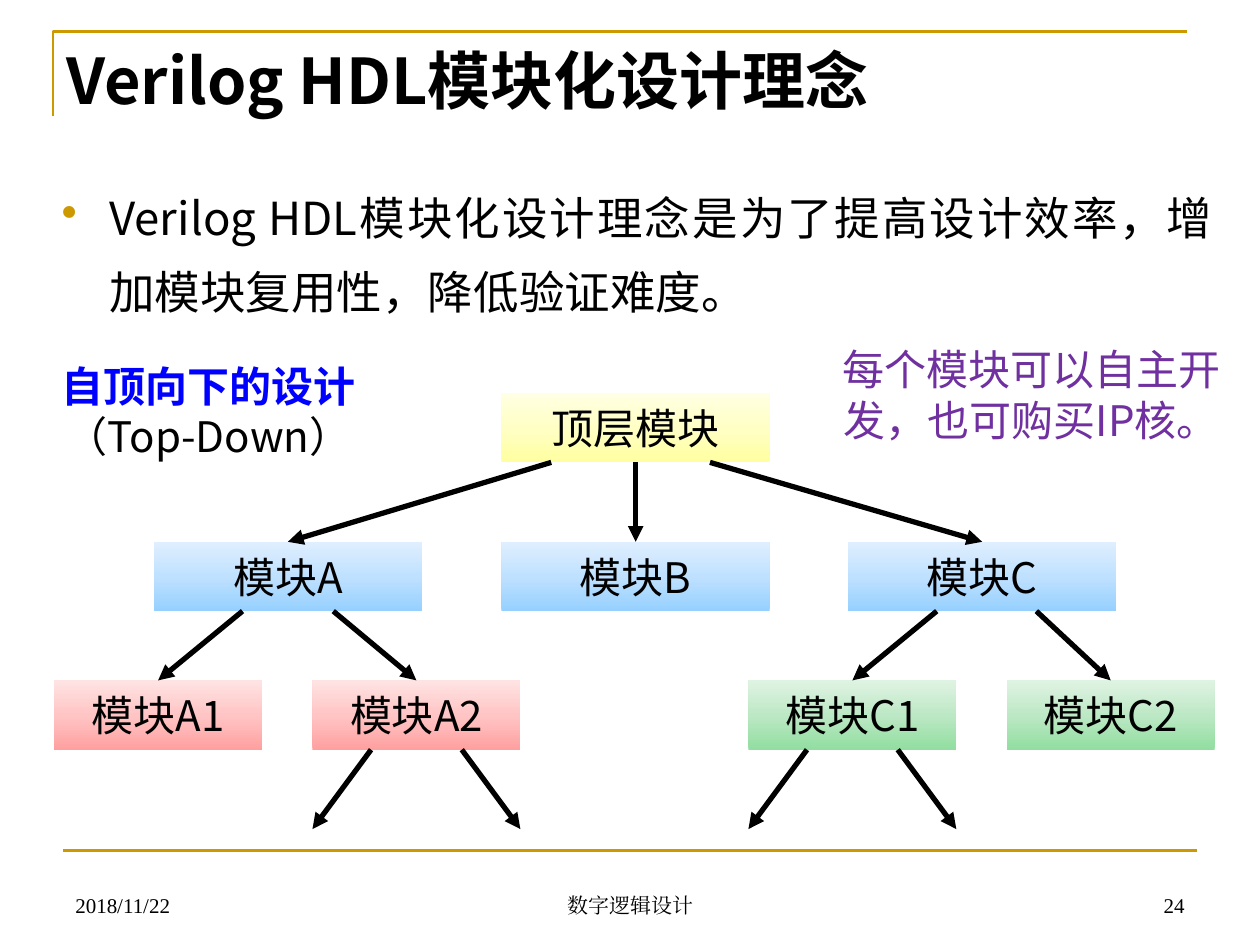
import copy
from collections import namedtuple

import pptx
import pptx.dml.color
import pptx.enum.dml
import pptx.enum.shapes
import pptx.enum.text
import pptx.oxml
import pptx.oxml.ns
import pptx.util

PX = 9144  # EMU per px, 100 px to the inch
Box = namedtuple("Box", "x y w h")
Module = namedtuple("Module", "label x row gradient")
Arrow = namedtuple("Arrow", "parent exit child")
ALIGN = pptx.enum.text.PP_ALIGN
ANCHOR = pptx.enum.text.MSO_ANCHOR


class Theme:
    sans, serif = "Noto Sans CJK SC", "Times New Roman"
    title, body, label, footer = 36, 26, 24, 12
    ink, gold, blue, purple = "000000", "CC9900", "0000FF", "7030A0"
    # gradients run from the bottom edge to the top edge
    yellow = ("FFFFA0", "FFFFC5", "FFFFE3")
    sky = ("96D0FF", "BFE1FF", "E0EFFF")
    red = ("FFA0A0", "FFC5C5", "FFE3E3")
    green = ("91DEA0", "BDE8C5", "DFF3E3")
    rule, arrow = 1.5, 3


def emu(*lengths):
    return [pptx.util.Emu(round(length * PX)) for length in lengths]


def rgb(color):
    return pptx.dml.color.RGBColor.from_string(color)


def sub(parent, tag, **attributes):
    element = parent.makeelement(pptx.oxml.ns.qn(tag), attributes)
    parent.append(element)
    return element


def write(frame, text, size=Theme.label, color=Theme.ink, font=Theme.sans,
          bold=False, align=ALIGN.CENTER, anchor=ANCHOR.TOP):
    """Fill the frame's empty paragraph, or add one after its text."""
    frame.word_wrap = True
    frame.vertical_anchor = anchor
    paragraph = frame.add_paragraph() if frame.text else frame.paragraphs[0]
    paragraph.alignment = align
    run = paragraph.add_run()
    run.text = text
    run.font.size = pptx.util.Pt(size)
    run.font.bold = bold
    run.font.color.rgb = rgb(color)
    run.font.name = font
    sub(run.font._element, "a:ea", typeface=font)
    return paragraph


def text_frame(slide, box):
    return slide.shapes.add_textbox(*emu(*box)).text_frame


def line(slide, start, end, color, width, arrowhead=False):
    connector = slide.shapes.add_connector(
        pptx.enum.shapes.MSO_CONNECTOR.STRAIGHT, *emu(*start, *end))
    connector.line.color.rgb = rgb(color)
    connector.line.width = pptx.util.Pt(width)
    if arrowhead:
        sub(connector.line._get_or_add_ln(), "a:tailEnd", type="triangle")
    sub(connector._element.spPr, "a:effectLst")


def corner_rule(slide, box):
    builder = slide.shapes.build_freeform(box.x, box.y + box.h, scale=PX)
    builder.add_line_segments(
        [(box.x, box.y), (box.x + box.w, box.y)], close=False)
    corner = builder.convert_to_shape()
    corner.shadow.inherit = False
    corner.fill.background()
    corner.line.color.rgb = rgb(Theme.gold)
    corner.line.width = pptx.util.Pt(Theme.rule)


def heading(slide, box):
    corner_rule(slide, Box(box.x, box.y, 900, 67))
    write(text_frame(slide, Box(box.x + 1, box.y + 3, box.w, 71)),
          "Verilog HDL模块化设计理念",
          size=Theme.title, bold=True, align=ALIGN.LEFT)


def statement(slide, box):
    paragraph = write(
        text_frame(slide, box),
        "Verilog HDL模块化设计理念是为了提高设计效率，增加模块复用性，降低验证难度。",
        size=Theme.body, align=ALIGN.JUSTIFY)
    paragraph.line_spacing = pptx.util.Pt(42)
    properties = paragraph._p.get_or_add_pPr()
    indent = emu(38)[0]
    properties.set("marL", str(indent))
    properties.set("indent", str(-indent))
    sub(sub(properties, "a:buClr"), "a:srgbClr", val=Theme.gold)
    sub(properties, "a:buChar", char="•")


def notes(slide, box):
    """Remarks on either side of the top module."""
    approach = text_frame(slide, Box(box.x, box.y + 13, 291, 91))
    write(approach, "自顶向下的设计", color=Theme.blue, bold=True)
    write(approach, "（Top-Down）")
    write(text_frame(slide, Box(box.x + box.w - 323, box.y, 323, 91)),
          "每个模块可以自主开发，也可购买IP核。", color=Theme.purple)


def module_box(slide, box, label, gradient):
    rect = slide.shapes.add_shape(
        pptx.enum.shapes.MSO_SHAPE.RECTANGLE, *emu(*box))
    rect.shadow.inherit = False
    rect.line.fill.background()
    rect.fill.gradient()
    rect.fill.gradient_angle = 90
    first = rect.fill.gradient_stops[0]._gs
    first.addnext(copy.deepcopy(first))
    for stop, position, color in zip(
            rect.fill.gradient_stops, (0, 0.5, 1), gradient):
        stop.position = position
        stop.color.rgb = rgb(color)
    write(rect.text_frame, label, anchor=ANCHOR.MIDDLE)


def module_tree(slide, box):
    row_tops, row_widths, height = (0, 118, 228, 346), (213, 213, 165), 55
    modules = [
        Module("顶层模块", 355, 0, Theme.yellow),
        Module("模块A", 79, 1, Theme.sky),
        Module("模块B", 355, 1, Theme.sky),
        Module("模块C", 630, 1, Theme.sky),
        Module("模块A1", 0, 2, Theme.red),
        Module("模块A2", 205, 2, Theme.red),
        Module("模块C1", 551, 2, Theme.green),
        Module("模块C2", 756, 2, Theme.green),
    ]
    arrows = [
        Arrow("顶层模块", -67, "模块A"),
        Arrow("顶层模块", 0, "模块B"),
        Arrow("顶层模块", 59, "模块C"),
        Arrow("模块A", -36, "模块A1"),
        Arrow("模块A", 36, "模块A2"),
        Arrow("模块C", -36, "模块C1"),
        Arrow("模块C", 43, "模块C2"),
    ]
    centers, tops = {}, {}
    for label, x, row, gradient in modules:
        place = Box(box.x + x, box.y + row_tops[row], row_widths[row], height)
        centers[label], tops[label] = place.x + place.w / 2, place.y
        module_box(slide, place, label, gradient)

    def branch(parent, exit_offset, end):
        start = (centers[parent] + exit_offset, tops[parent] + height)
        line(slide, start, end, Theme.ink, Theme.arrow, arrowhead=True)

    for parent, exit_offset, child in arrows:
        branch(parent, exit_offset, (centers[child], tops[child]))
    # open branches end below the side edges of their module
    for parent in ("模块A2", "模块C1"):
        for side in (-1, 1):
            end = (centers[parent] + side * row_widths[2] / 2,
                   box.y + row_tops[3])
            branch(parent, side * 36, end)


def footer(slide, box):
    line(slide, (box.x, box.y), (box.x + box.w, box.y),
         Theme.gold, Theme.rule)
    for offset, width, text, align in (
            (0, 233, "2018/11/22", ALIGN.LEFT),
            (292, 317, "数字逻辑设计", ALIGN.CENTER),
            (667, 233, "24", ALIGN.RIGHT)):
        write(text_frame(slide, Box(box.x + offset, box.y + 8, width, 50)),
              text, size=Theme.footer, font=Theme.serif,
              align=align, anchor=ANCHOR.BOTTOM)


def main():
    deck = pptx.Presentation()
    deck.slide_width, deck.slide_height = emu(1000, 750)
    slide = deck.slides.add_slide(deck.slide_layouts[6])
    heading(slide, Box(42, 25, 1000, 74))
    statement(slide, Box(39, 131, 934, 134))
    module_tree(slide, Box(43, 312, 921, 346))
    notes(slide, Box(20, 268, 960, 104))
    footer(slide, Box(50, 675, 900, 58))
    deck.save("out.pptx")


if __name__ == "__main__":
    main()
